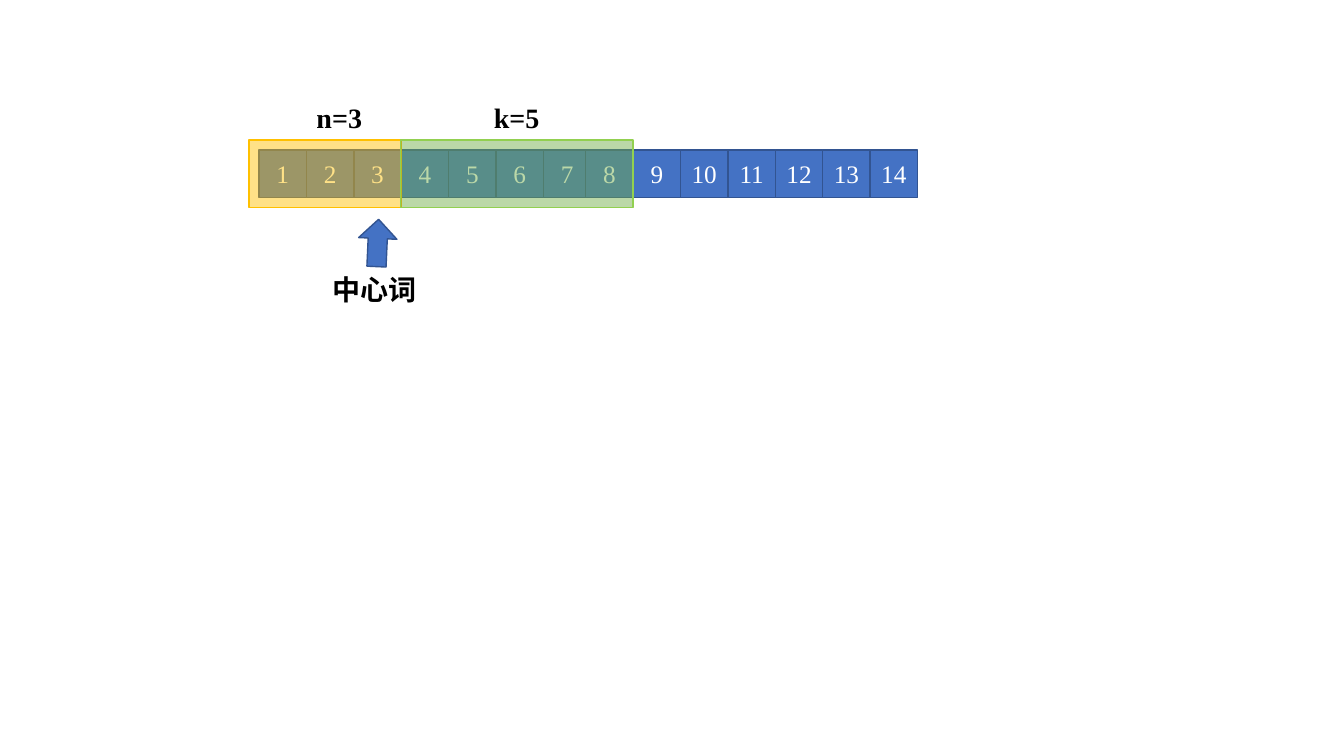
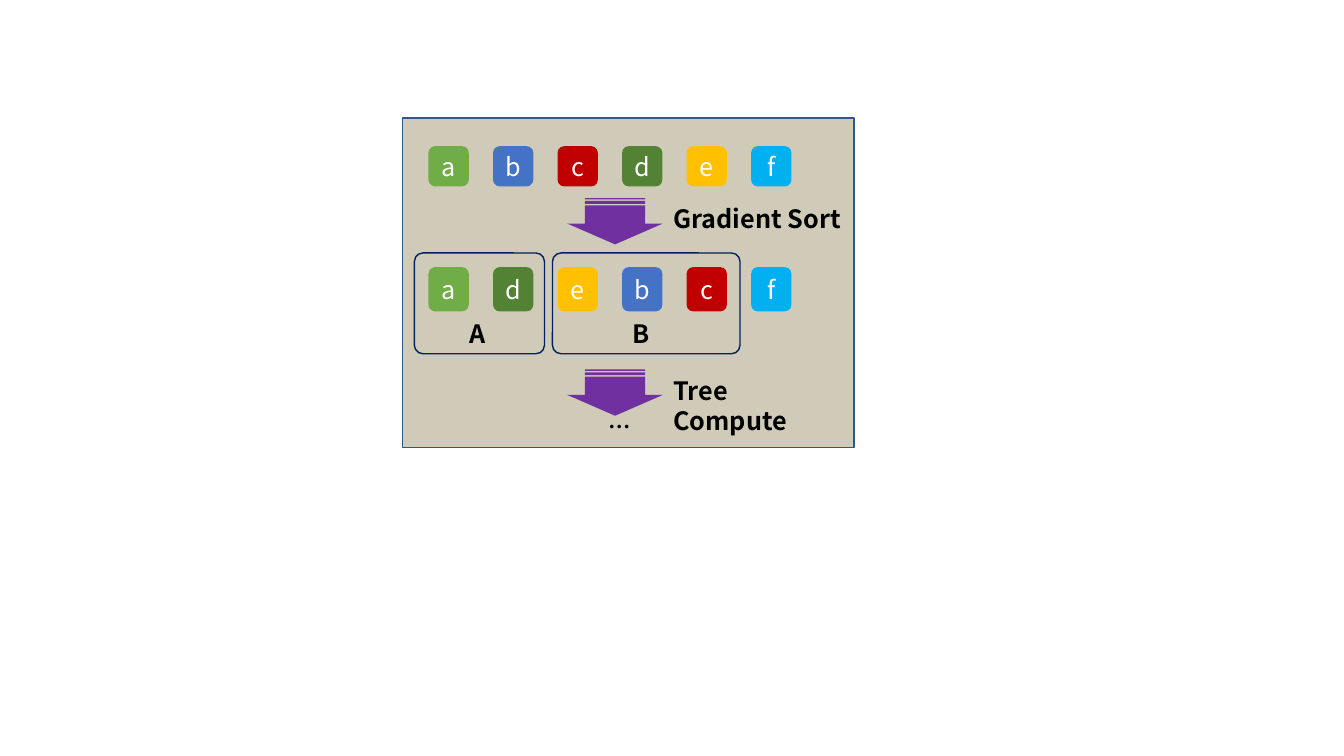
"""Build two diagrams: a sliding word window and a gradient sort of tiles."""
from lxml.etree import SubElement
from pptx import Presentation
from pptx.dml.color import RGBColor
from pptx.enum.shapes import MSO_SHAPE as Preset
from pptx.enum.text import MSO_ANCHOR as Anchor, MSO_AUTO_SIZE as AutoSize, PP_ALIGN as Align
from pptx.oxml.ns import qn
from pptx.util import Inches, Pt

COLORS = {
    "blue": "4472C4", "outline": "325491", "amber": "FFC000", "green": "70AD47",
    "lime": "92D050", "red": "C00000", "forest": "548235", "sky": "00B0F0",
    "purple": "7030A0", "navy": "002060", "panel": "CFCBB8",
    "white": "FFFFFF", "black": "000000",
}
SERIF = "Times New Roman"
SANS = "Noto Sans CJK SC"
TILE_COLORS = {"a": "green", "b": "blue", "c": "red",
               "d": "forest", "e": "amber", "f": "sky"}


def color(name):
    return RGBColor.from_string(COLORS[name])


def set_text(shape, text, font_name, size, color_name, bold=False):
    shape.text_frame.text = text
    font = shape.text_frame.paragraphs[0].runs[0].font
    font.name = font_name
    font.size = Pt(size)
    font.bold = bold
    font.color.rgb = color(color_name)


def add_shape(slide, preset, box, fill=None, line=None, opacity=None, adjustments=()):
    shape = slide.shapes.add_shape(preset, *map(Inches, box))
    shape.shadow.inherit = False
    for index, value in enumerate(adjustments):
        shape.adjustments[index] = value
    if fill:
        shape.fill.solid()
        shape.fill.fore_color.rgb = color(fill)
    else:
        shape.fill.background()
    if opacity:
        fill_color = shape.fill._xPr.find(qn("a:solidFill"))[0]
        SubElement(fill_color, qn("a:alpha"), val=str(opacity * 1000))
    if line:
        shape.line.color.rgb = color(line)
        shape.line.width = Pt(1)
    else:
        shape.line.fill.background()
    return shape


def add_box(slide, preset, box, text, font_name, fill, line=None):
    shape = add_shape(slide, preset, box, fill, line)
    set_text(shape, text, font_name, 18, "white")
    shape.text_frame.vertical_anchor = Anchor.MIDDLE
    shape.text_frame.paragraphs[0].alignment = Align.CENTER


def add_label(slide, box, text, font_name, size):
    label = slide.shapes.add_textbox(*map(Inches, box))
    label.text_frame.word_wrap = True
    label.text_frame.auto_size = AutoSize.SHAPE_TO_FIT_TEXT
    set_text(label, text, font_name, size, "black", bold=True)


def add_cells(slide, left, numbers):
    side = 0.47
    for index, number in enumerate(numbers):
        add_box(slide, Preset.RECTANGLE, (left + index * side, 1.49, side, side),
                str(number), SERIF, "blue", "outline")


def add_tiles(slide, top, height, letters):
    for index, letter in enumerate(letters):
        add_box(slide, Preset.ROUNDED_RECTANGLE, (4.25 + index * 0.64, top, 0.4, height),
                letter, SANS, TILE_COLORS[letter])


def add_group_frame(slide, left, width, name, name_left):
    add_shape(slide, Preset.ROUNDED_RECTANGLE, (left, 2.51, width, 1),
              line="navy", adjustments=(0.085,))
    add_label(slide, (name_left, 3.11, 0.41, 0.44), name, SANS, 18)


def add_step(slide, top, text):
    arrow = add_shape(slide, Preset.STRIPED_RIGHT_ARROW, (5.87, top, 0.46, 0.95),
                      "purple", adjustments=(0.63, 0.45))
    arrow.rotation = 90
    add_label(slide, (6.58, top + 0.25, 1.89, 0.4), text, SANS, 18)


def build_window_slide(slide):
    add_cells(slide, 2.57, range(1, 8))
    add_cells(slide, 5.81, range(8, 15))
    for left, width, fill, line in ((2.47, 1.51, "amber", "amber"),
                                    (3.97, 2.31, "green", "lime")):
        add_shape(slide, Preset.RECTANGLE, (left, 1.39, width, 0.67), fill, line, opacity=47)
    for left, top, width, text in ((3.04, 0.95, 0.75, "n=3"),
                                   (4.8, 0.95, 0.78, "k=5"),
                                   (3.2, 2.65, 1.08, "中心词")):
        add_label(slide, (left, top, width, 0.44), text, SERIF, 20)
    pointer = add_shape(slide, Preset.RIGHT_ARROW, (3.51, 2.22, 0.47, 0.38), "blue", "outline")
    pointer.rotation = 272.6


def build_sort_slide(slide):
    add_shape(slide, Preset.RECTANGLE, (3.99, 1.17, 4.48, 3.27), "panel", "outline")
    add_tiles(slide, 1.45, 0.4, "abcdef")
    add_step(slide, 1.72, "Gradient Sort")
    add_tiles(slide, 2.65, 0.44, "adebcf")
    add_group_frame(slide, 4.11, 1.29, "A", 4.56)
    add_group_frame(slide, 5.48, 1.86, "B", 6.17)
    add_step(slide, 3.42, "Tree Compute")
    add_label(slide, (5.94, 4.05, 0.5, 0.37), "…", SANS, 16)


def main():
    presentation = Presentation()
    presentation.slide_width = Inches(13.33)
    presentation.slide_height = Inches(7.5)
    for build in (build_window_slide, build_sort_slide):
        build(presentation.slides.add_slide(presentation.slide_layouts[6]))
    presentation.save("out.pptx")


if __name__ == "__main__":
    main()
